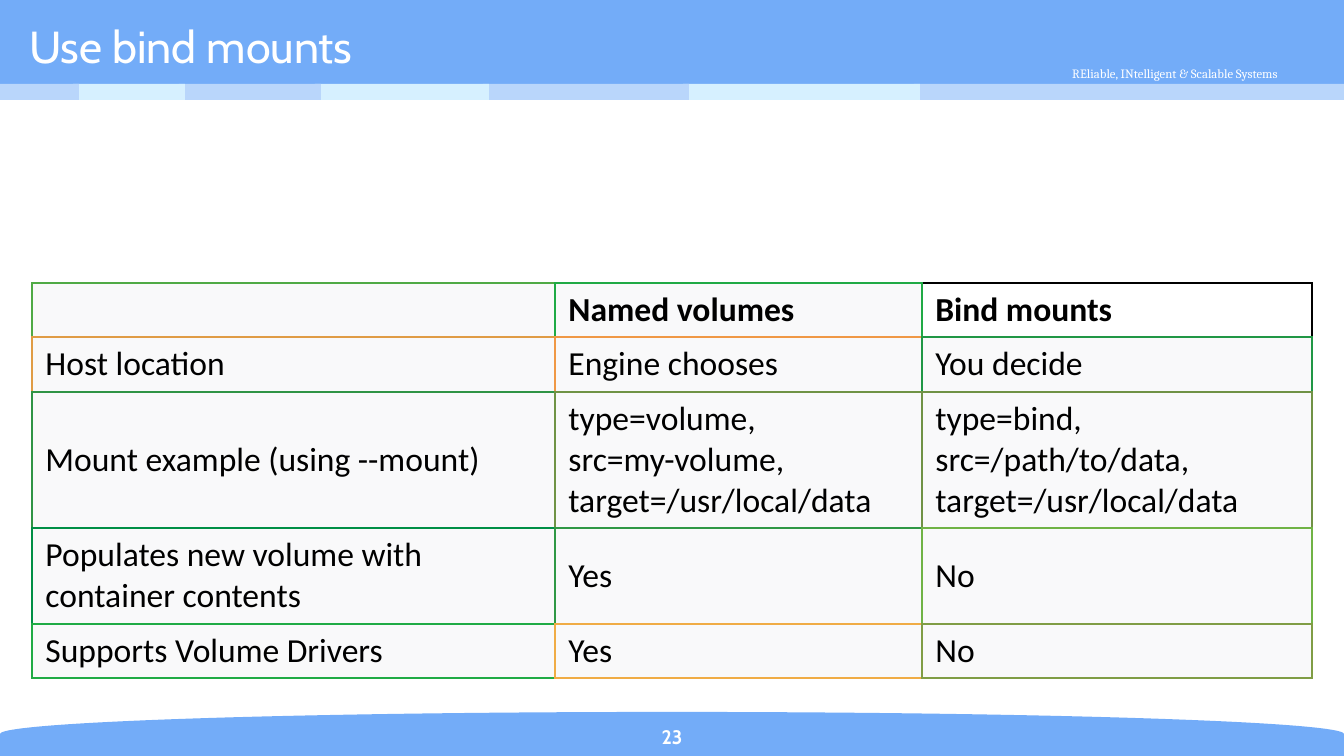
from lxml import etree
from pptx import Presentation
from pptx.dml.color import RGBColor
from pptx.enum.shapes import MSO_SHAPE
from pptx.enum.text import MSO_ANCHOR, PP_ALIGN
from pptx.oxml.ns import qn
from pptx.util import Pt

PX = 914400 / 134.4
WIDTH, HEIGHT = 1344, 756
RECTANGLE, DELAY = MSO_SHAPE.RECTANGLE, MSO_SHAPE.FLOWCHART_DELAY
TOP, MIDDLE, BOTTOM = MSO_ANCHOR.TOP, MSO_ANCHOR.MIDDLE, MSO_ANCHOR.BOTTOM
LEFT, CENTER = PP_ALIGN.LEFT, PP_ALIGN.CENTER
BLUE = RGBColor(0x73, 0xAC, 0xF8)
PALE_BLUE = RGBColor(0xB9, 0xD6, 0xFB)
ICE_BLUE = RGBColor(0xD6, 0xF0, 0xFF)
CELL_GRAY = RGBColor(0xF9, 0xF9, 0xFA)
WHITE = RGBColor(0xFF, 0xFF, 0xFF)
BLACK = RGBColor(0x00, 0x00, 0x00)

deck = Presentation()
deck.slide_width, deck.slide_height = round(WIDTH * PX), round(HEIGHT * PX)
page = deck.slides.add_slide(deck.slide_layouts[6])


def add_block(kind, bounds, color):
    block = page.shapes.add_shape(kind, *(round(n * PX) for n in bounds))
    block.shadow.inherit = False
    block.fill.solid()
    block.fill.fore_color.rgb = color
    block.line.fill.background()
    return block


def add_label(text, bounds, font_name, size, align, anchor, bold=False):
    box = page.shapes.add_textbox(*(round(n * PX) for n in bounds))
    frame = box.text_frame
    frame.word_wrap = True
    frame.vertical_anchor = anchor
    paragraph = frame.paragraphs[0]
    paragraph.text = text
    paragraph.alignment = align
    font = paragraph.font
    font.name, font.size, font.bold = font_name, Pt(size), bold
    font.color.rgb = WHITE


# Footer curve and header band
add_block(DELAY, (650, 62, 44, WIDTH), BLUE).rotation = 270
add_block(RECTANGLE, (0, 0, WIDTH, 87), BLUE)
add_label("REliable, INtelligent & Scalable Systems", (1011, 59, 328, 28),
          "Cambria", 6.8, CENTER, TOP)

# Stripes run from right to left, each overlapping the one before
stripe_ends = [WIDTH, 920, 689, 489, 321, 185, 79]
for index, end in enumerate(stripe_ends):
    start = stripe_ends[index + 1] - 6 if index + 1 < len(stripe_ends) else 0
    add_block(RECTANGLE, (start, 84, end - start, 16),
              ICE_BLUE if index % 2 else PALE_BLUE)

add_label("Use bind mounts", (16, 16, 1003, 60), "Cabin", 24, LEFT, MIDDLE)
add_label("23", (598, 719, 148, 35), "Cabin", 10.5, CENTER, MIDDLE, bold=True)

# Comparison table
rows = [
    ["", "Named volumes", "Bind mounts"],
    ["Host location", "Engine chooses", "You decide"],
    ["Mount example (using --mount)",
     "type=volume,\nsrc=my-volume,\ntarget=/usr/local/data",
     "type=bind,\nsrc=/path/to/data,\ntarget=/usr/local/data"],
    ["Populates new volume with container contents", "Yes", "No"],
    ["Supports Volume Drivers", "Yes", "No"],
]
# Left and top border of each cell; right and bottom come from its neighbours
edge_colors = [
    ["50AA45", "20AA45", "20AA45"],
    ["E09C45", "F09845", "209745"],
    ["309445", "709345", "709245"],
    ["008F45", "309845", "70B345"],
    ["20AB45", "F0AC45", "809D45"],
]
column_widths = [523, 367, 390]
row_heights = [54, 55, 136, 96, 54]
last_row, last_column = len(rows) - 1, len(column_widths) - 1
table_bounds = (32, 283, sum(column_widths), sum(row_heights))
table = page.shapes.add_table(len(rows), len(column_widths),
                              *(round(n * PX) for n in table_bounds)).table
table.first_row = table.horz_banding = False
for column, width in zip(table.columns, column_widths):
    column.width = round(width * PX)
for row, height in zip(table.rows, row_heights):
    row.height = round(height * PX)

for r, texts in enumerate(rows):
    for c, text in enumerate(texts):
        cell = table.cell(r, c)
        cell.text = text
        cell.vertical_anchor = MIDDLE if r else BOTTOM
        for paragraph in cell.text_frame.paragraphs:
            font = paragraph.font
            font.name, font.size, font.bold = "Calibri", Pt(18), r == 0
            font.color.rgb = BLACK

        plain_corner = r == 0 and c == last_column
        own = edge_colors[r][c]
        borders = {
            "a:lnL": own,
            "a:lnR": edge_colors[r][min(c + 1, last_column)],
            "a:lnT": own,
            "a:lnB": edge_colors[min(r + 1, last_row)][c],
        }
        if plain_corner:
            borders["a:lnR"] = borders["a:lnT"] = "000000"
        properties = cell._tc.get_or_add_tcPr()
        for tag, color in borders.items():
            line = etree.SubElement(properties, qn(tag), w=str(Pt(1)))
            fill = etree.SubElement(line, qn("a:solidFill"))
            etree.SubElement(fill, qn("a:srgbClr"), val=color)
        cell.fill.solid()
        cell.fill.fore_color.rgb = WHITE if plain_corner else CELL_GRAY

deck.save("out.pptx")
